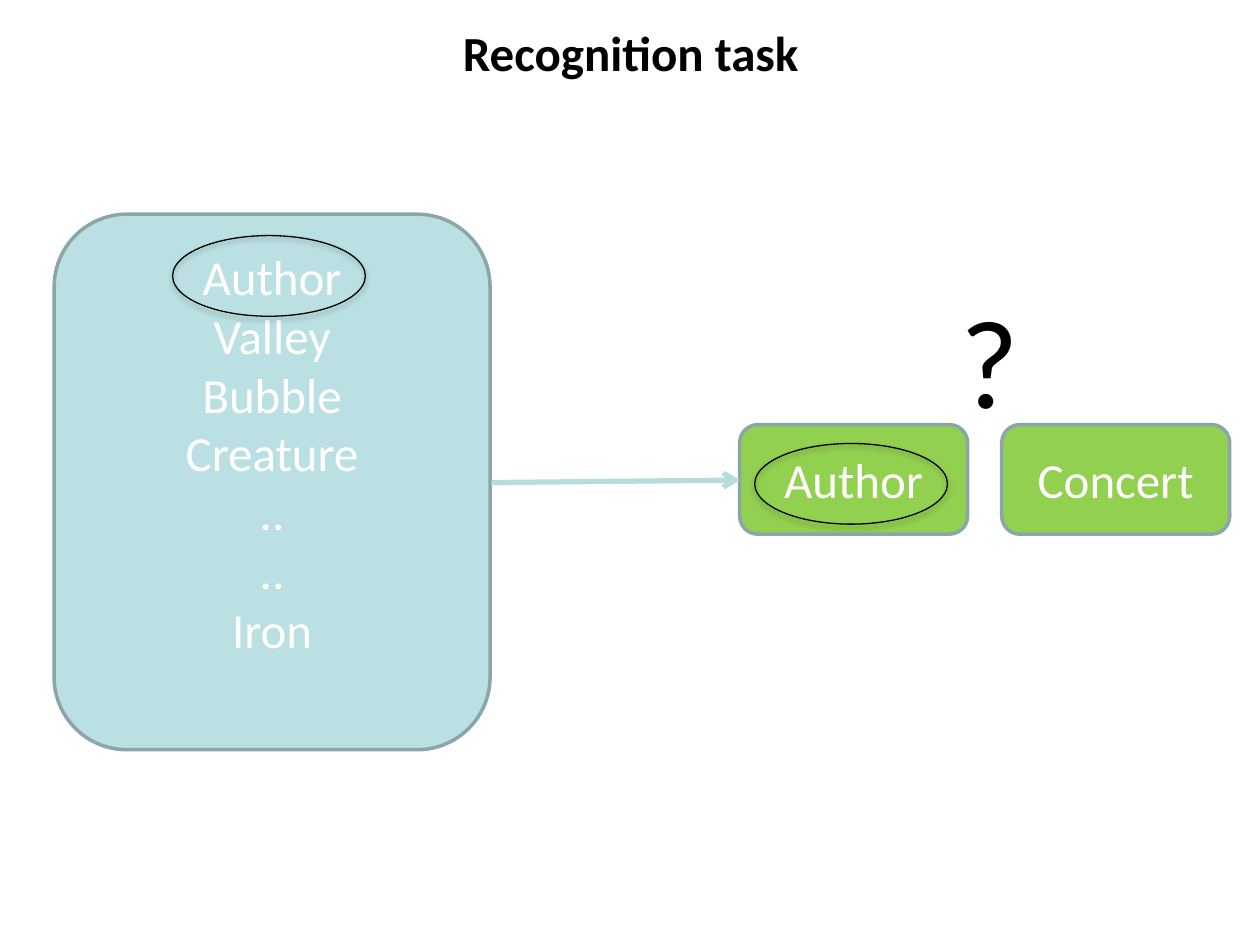
"""Build the recognition task slide: a study list leading to a two-word choice."""
from lxml import etree
from pptx import Presentation
from pptx import util as u
from pptx.dml import color
from pptx.enum import shapes, text
from pptx.oxml import ns, parse_xml


def rgb(value):
    return color.RGBColor.from_string(value)


class TaskSlide:
    font, size = "Calibri", 28
    black, white = "000000", "FFFFFF"
    teal, green, edge, arrow_tint = "BBE0E3", "92D050", "8AA6A8", "B6DCDF"

    def __init__(self, deck):
        self.page = deck.slides.add_slide(deck.slide_layouts[5])

    def place(self, box, left, top, width, height):
        box.left, box.top = u.Inches(left), u.Inches(top)
        box.width, box.height = u.Inches(width), u.Inches(height)

    def set_words(self, box, lines, tint, size=size, bold=False):
        frame = box.text_frame
        frame.text = "\n".join(lines)
        frame.vertical_anchor = text.MSO_ANCHOR.MIDDLE
        for para in frame.paragraphs:
            para.alignment = text.PP_ALIGN.CENTER
            para.font.name, para.font.size = self.font, u.Pt(size)
            para.font.bold = bold
            para.font.color.rgb = rgb(tint)

    def title(self, words, *area):
        box = self.page.shapes.title
        self.place(box, *area)
        box.text_frame.auto_size = text.MSO_AUTO_SIZE.NONE
        box.text_frame.word_wrap = False
        self.set_words(box, [words], self.black, bold=True)

    def label(self, words, size, *area):
        box = self.page.shapes.add_textbox(*map(u.Inches, area))
        box.text_frame.word_wrap = False
        self.set_words(box, [words], self.black, size)

    def outline(self, kind, tint, width, area):
        shape = self.page.shapes.add_shape(kind, *map(u.Inches, area))
        shape.line.color.rgb, shape.line.width = rgb(tint), u.Pt(width)
        shape.shadow.inherit = False
        return shape

    def card(self, lines, fill, *area, bottom=0.05):
        shape = self.outline(shapes.MSO_SHAPE.ROUNDED_RECTANGLE, self.edge, 2, area)
        shape.fill.solid()
        shape.fill.fore_color.rgb = rgb(fill)
        shape.text_frame.margin_bottom = u.Inches(bottom)
        self.set_words(shape, lines, self.white)

    def ring(self, left, top):
        shape = self.outline(shapes.MSO_SHAPE.OVAL, self.black, 0.75, (left, top, 1.53, 0.64))
        shape.fill.background()
        effects = shape.element.spPr.find(ns.qn("a:effectLst"))
        effects.append(parse_xml(
            f'<a:outerShdw {ns.nsdecls("a")} blurRad="{u.Pt(3.1)}" dist="{u.Pt(1.8)}" '
            f'dir="5400000" rotWithShape="0"><a:srgbClr val="{self.black}">'
            '<a:alpha val="35000"/></a:srgbClr></a:outerShdw>'))

    def arrow(self, *ends):
        connector = self.page.shapes.add_connector(
            shapes.MSO_CONNECTOR.STRAIGHT, *map(u.Inches, ends))
        connector.line.color.rgb, connector.line.width = rgb(self.arrow_tint), u.Pt(3)
        properties = connector.element.spPr
        etree.SubElement(properties.find(ns.qn("a:ln")), ns.qn("a:tailEnd"), type="arrow")
        etree.SubElement(properties, ns.qn("a:effectLst"))


def main():
    deck = Presentation()
    deck.slide_width, deck.slide_height = u.Inches(10), u.Inches(7.5)
    task = TaskSlide(deck)
    task.title("Recognition task", 3.55, 0.13, 2.91, 0.57)
    studied = ["Author", "Valley", "Bubble", "Creature", "..", "..", "Iron"]
    task.card(studied, task.teal, 0.43, 1.7, 3.46, 4.25, bottom=0.52)
    for left, word in ((5.87, "Author"), (7.95, "Concert")):
        task.card([word], task.green, left, 3.37, 1.81, 0.87)
    task.arrow(3.9, 3.83, 5.87, 3.81)
    task.label("?", 72, 7.52, 2.19, 0.67, 1.31)
    task.ring(5.99, 3.52)
    task.ring(1.37, 1.87)
    deck.save("out.pptx")


if __name__ == "__main__":
    main()
